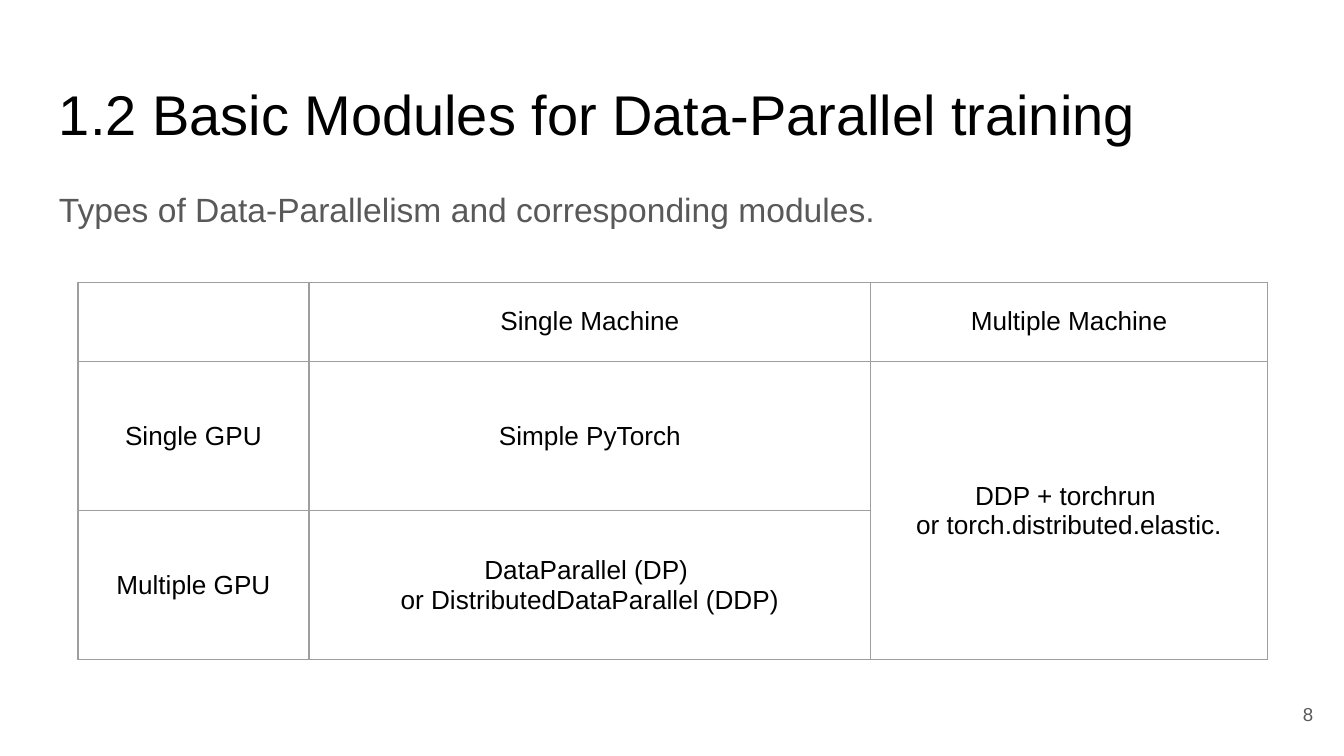
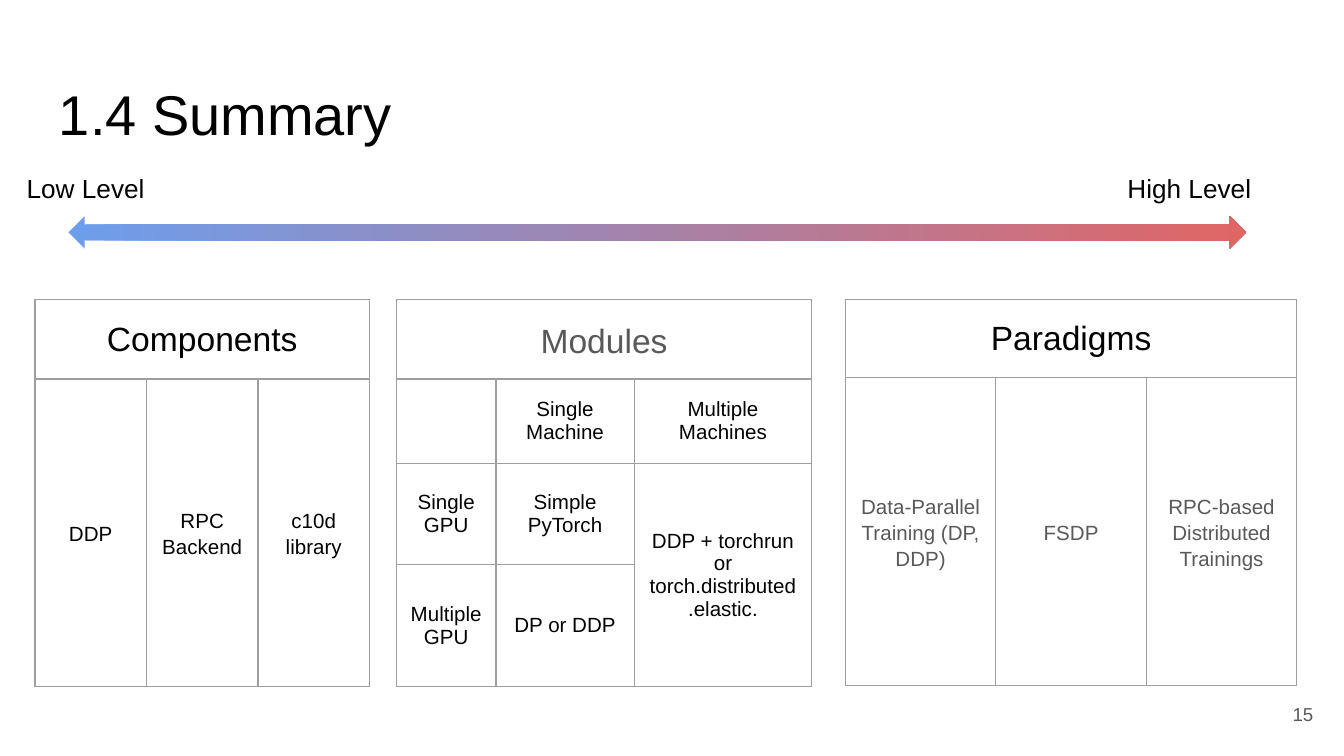
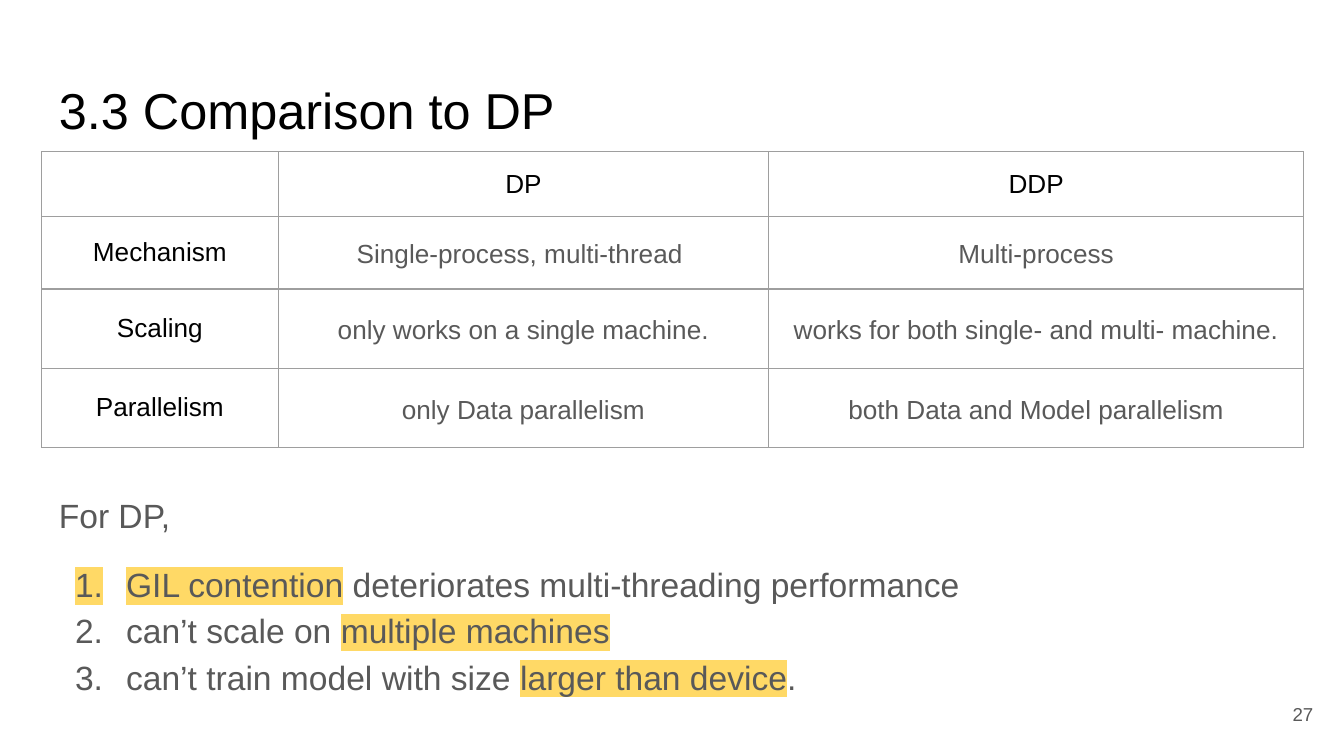
import dataclasses

import lxml.etree
import pptx
import pptx.dml.color
import pptx.enum.shapes
import pptx.enum.text
import pptx.oxml.ns
import pptx.util

Inches = pptx.util.Inches
Pt = pptx.util.Pt
Align = pptx.enum.text.PP_ALIGN
Anchor = pptx.enum.text.MSO_ANCHOR
qn = pptx.oxml.ns.qn


@dataclasses.dataclass(frozen=True)
class Theme:
    font: str = "Arial"
    black: str = "000000"
    gray: str = "595959"
    rule: str = "9E9E9E"
    mark: str = "FFD966"
    low: str = "6D9EEB"
    high: str = "E06666"
    title: int = 30
    small: int = 27
    body: int = 18
    text: int = 14
    note: int = 11
    page: int = 10
    lead: float = 1.15
    gap: int = 12
    pad: float = 0.1
    line: float = 0.75


@dataclasses.dataclass(frozen=True)
class Look:
    size: int
    color: str
    align: object = Align.LEFT
    lead: float = None
    above: int = 0
    below: int = 0


THEME = Theme()
CELL = Look(THEME.text, THEME.black, Align.CENTER)
NOTE = dataclasses.replace(CELL, size=THEME.note)
HEAD = dataclasses.replace(CELL, size=THEME.body)
LOOSE = dataclasses.replace(NOTE, lead=THEME.lead, below=THEME.gap)
PALE = dataclasses.replace(LOOSE, color=THEME.gray)
FACT = dataclasses.replace(PALE, size=THEME.text)
LAST = dataclasses.replace(FACT, above=THEME.gap)
BODY = Look(THEME.body, THEME.gray, lead=THEME.lead)


def rgb(code):
    return pptx.dml.color.RGBColor.from_string(code)


def node(parent, tag, **attrs):
    return lxml.etree.SubElement(parent, qn(tag), attrs)


class Deck:
    def __init__(self, theme):
        self.theme = theme
        self.file = pptx.Presentation()
        self.file.slide_width = Inches(10)
        self.file.slide_height = Inches(10 * 9 / 16)
        self.slide = None

    def page(self, title, num, size=None):
        self.slide = self.file.slides.add_slide(self.file.slide_layouts[6])
        look = Look(size or self.theme.title, self.theme.black)
        self.text((0.34, 0.49, 9.32, 0.63), title, look)
        foot = Look(self.theme.page, self.theme.gray, Align.RIGHT)
        self.text((9.27, 5.1, 0.6, 0.43), num, foot, Anchor.MIDDLE)

    def run(self, para, words, look, mark=False):
        for i, part in enumerate(words.split("\n")):
            if i:
                para.add_line_break()
            run = para.add_run()
            run.text = part
            run.font.size = Pt(look.size)
            run.font.color.rgb = rgb(look.color)
            if mark:
                props = run.font._element
                tint = lxml.etree.Element(qn("a:highlight"))
                node(tint, "a:srgbClr", val=self.theme.mark)
                props.find(qn("a:solidFill")).addnext(tint)
            run.font.name = self.theme.font

    def style(self, para, look):
        para.alignment = look.align
        if look.lead:
            para.line_spacing = look.lead
        para.space_before = Pt(look.above)
        para.space_after = Pt(look.below)

    def pad(self, item):
        for side in ("left", "top", "right", "bottom"):
            setattr(item, "margin_" + side, Inches(self.theme.pad))

    def text(self, place, words, look, anchor=Anchor.TOP, grow=False):
        frame = self.slide.shapes.add_textbox(*map(Inches, place)).text_frame
        frame.word_wrap = True
        frame.vertical_anchor = anchor
        if grow:
            frame.auto_size = pptx.enum.text.MSO_AUTO_SIZE.SHAPE_TO_FIT_TEXT
        self.pad(frame)
        para = frame.paragraphs[0]
        self.style(para, look)
        self.run(para, words, look)
        return frame

    def list(self, frame, items, look):
        for i, item in enumerate(items):
            para = frame.add_paragraph()
            above = 0 if i else self.theme.gap
            self.style(para, dataclasses.replace(look, above=above))
            props = para._p.get_or_add_pPr()
            props.set("marL", str(Inches(0.5)))
            props.set("indent", str(Inches(-0.38)))
            node(node(props, "a:buClr"), "a:srgbClr", val=look.color)
            node(props, "a:buAutoNum", type="arabicPeriod")
            for words, mark in item:
                self.run(para, words, look, mark)

    def border(self, cell):
        props = cell._tc.get_or_add_tcPr()
        for i, tag in enumerate(("a:lnL", "a:lnR", "a:lnT", "a:lnB")):
            line = lxml.etree.Element(qn(tag), w=str(Pt(self.theme.line)))
            node(node(line, "a:solidFill"), "a:srgbClr", val=self.theme.rule)
            props.insert(i, line)

    def table(self, left, top, cols, rows, cells, spans=()):
        size = map(Inches, (left, top, sum(cols), sum(rows)))
        table = self.slide.shapes.add_table(len(rows), len(cols), *size).table
        table.first_row = table.horz_banding = False
        for col, width in zip(table.columns, cols):
            col.width = Inches(width)
        for row, height in zip(table.rows, rows):
            row.height = Inches(height)
        for r, line in enumerate(cells):
            for c, (words, look) in enumerate(line):
                cell = table.cell(r, c)
                cell.fill.background()
                cell.vertical_anchor = Anchor.MIDDLE
                self.pad(cell)
                self.border(cell)
                para = cell.text_frame.paragraphs[0]
                if words:
                    self.style(para, look)
                    self.run(para, words, look)
                else:
                    node(para._p, "a:endParaRPr", sz=str(look.size * 100))
        for start, end in spans:
            table.cell(*start).merge(table.cell(*end))

    def arrow(self, place):
        kind = pptx.enum.shapes.MSO_SHAPE.LEFT_RIGHT_ARROW
        shape = self.slide.shapes.add_shape(kind, *map(Inches, place))
        shape.shadow.inherit = False
        shape.line.fill.background()
        shape.fill.gradient()
        shape.fill.gradient_angle = 0
        ends = (self.theme.low, self.theme.high)
        for stop, color in zip(shape.fill.gradient_stops, ends):
            stop.color.rgb = rgb(color)


def cells(look, *lines):
    return [[(words, look) for words in line] for line in lines]


def banner(words, look=HEAD):
    return cells(look, (words, "", ""))


def modules(deck):
    deck.page("1.2 Basic Modules for Data-Parallel training", "8")
    words = "Types of Data-Parallelism and corresponding modules."
    deck.text((0.34, 1.26, 9.32, 3.74), words, BODY)
    grid = cells(
        CELL,
        ("", "Single Machine", "Multiple Machine"),
        ("Single GPU", "Simple PyTorch", "DDP + torchrun \nor torch.distributed.elastic."),
        ("Multiple GPU", "DataParallel (DP) \nor DistributedDataParallel (DDP)", ""),
    )
    deck.table(0.58, 2.1, (1.72, 4.18, 2.95), (0.59, 1.11, 1.11), grid, [((1, 2), (2, 2))])


def summary(deck):
    deck.page("1.4 Summary", "15")
    top = 2.23
    wide = ((0, 0), (0, 2))
    parts = banner("Components") + cells(LOOSE, ("DDP", "RPC Backend", "c10d library"))
    deck.table(0.26, top, (0.83,) * 3, (0.59, 2.29), parts, [wide])
    look = dataclasses.replace(PALE, size=THEME.body)
    grid = banner("Modules", look) + cells(
        NOTE,
        ("", "Single Machine", "Multiple Machines"),
        ("Single GPU", "Simple PyTorch", "DDP + torchrun or torch.distributed.elastic."),
        ("Multiple GPU", "DP or DDP", ""),
    )
    rows = (0.59, 0.63, 0.75, 0.91)
    deck.table(2.95, top, (0.74, 1.03, 1.32), rows, grid, [wide, ((2, 2), (3, 2))])
    kinds = banner("Paradigms") + cells(
        PALE,
        ("Data-Parallel Training (DP, DDP)", "FSDP", "RPC-based Distributed Trainings"),
    )
    deck.table(6.29, top, (1.12,) * 3, (0.58, 2.29), kinds, [wide])
    deck.arrow((0.51, 1.61, 8.76, 0.24))
    for left, words in ((0.1, "Low Level"), (8.29, "High Level")):
        look = Look(THEME.text, THEME.black)
        deck.text((left, 1.18, 1.45, 0.44), words, look, grow=True)


def compare(deck):
    deck.page("3.3 Comparison to DP", "27", THEME.small)
    facts = (
        ("Mechanism", "Single-process, multi-thread ", "Multi-process"),
        ("Scaling", "only works on a single machine.", "works for both single- and multi- machine."),
        ("Parallelism", "only Data parallelism", "both Data and Model parallelism"),
    )
    grid = cells(CELL, ("", "DP", "DDP"))
    grid += [list(zip(line, (CELL, FACT, LAST))) for line in facts]
    deck.table(0.31, 1.13, (1.76, 3.65, 3.98), (0.48, 0.54, 0.59, 0.59), grid)
    frame = deck.text((0.34, 3.54, 9.17, 1.79), "For DP,", BODY)
    items = (
        (("GIL contention", True), (" deteriorates multi-threading performance", False)),
        (("can’t scale on ", False), ("multiple machines", True)),
        (("can’t train model with size ", False), ("larger than device", True), (".", False)),
    )
    deck.list(frame, items, BODY)


def main():
    deck = Deck(THEME)
    modules(deck)
    summary(deck)
    compare(deck)
    deck.file.save("out.pptx")


if __name__ == "__main__":
    main()
